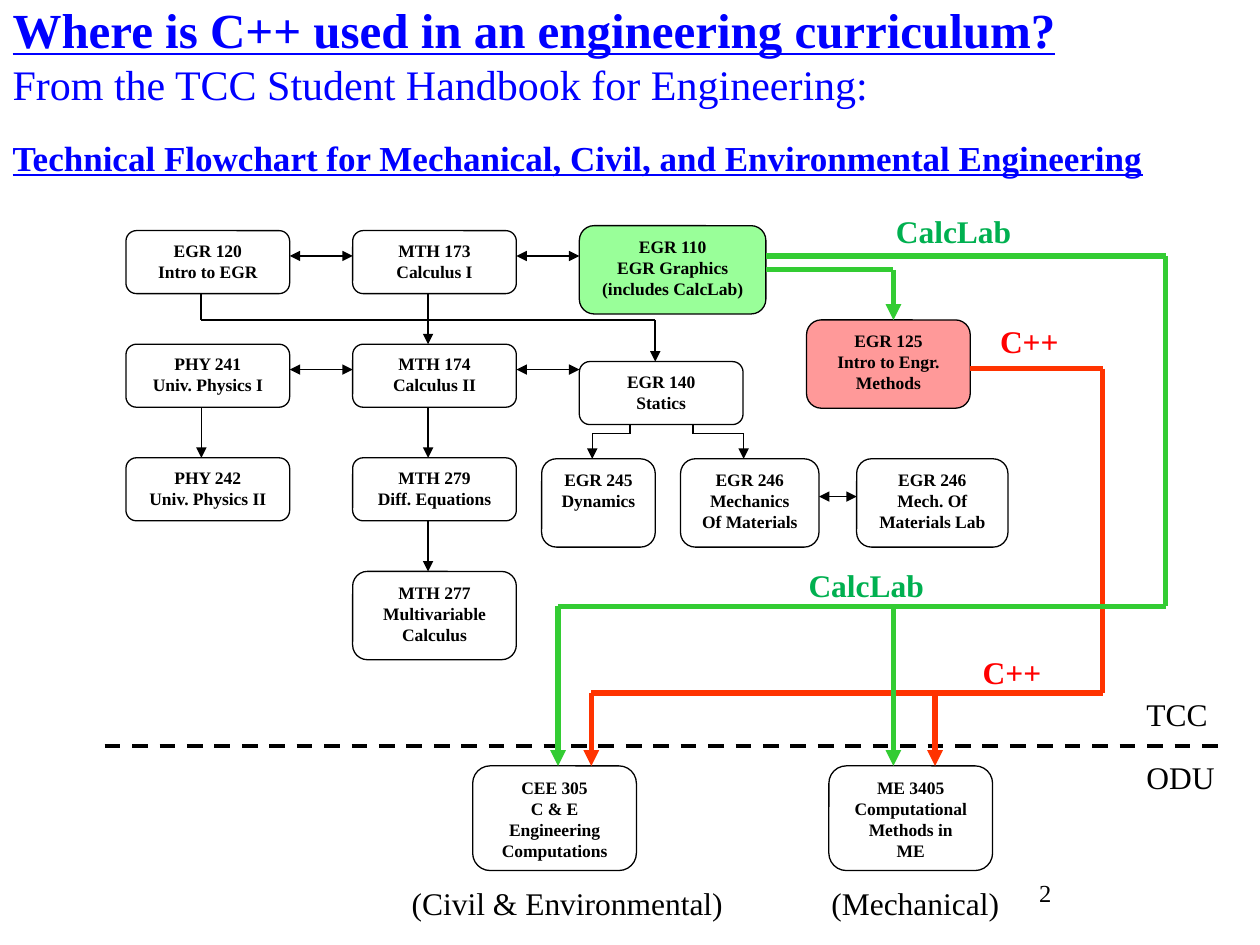
from pptx import Presentation
from pptx.dml.color import RGBColor
from pptx.enum.dml import MSO_LINE
from pptx.enum.shapes import MSO_CONNECTOR, MSO_SHAPE
from pptx.enum.text import MSO_ANCHOR, MSO_AUTO_SIZE, PP_ALIGN
from pptx.oxml.ns import qn
from pptx.util import Cm, Pt
from lxml.etree import SubElement

FONT = "Times New Roman"
BLACK = RGBColor(0x00, 0x00, 0x00)
WHITE = RGBColor(0xFF, 0xFF, 0xFF)
BLUE = RGBColor(0x00, 0x00, 0xFF)
GREEN = RGBColor(0x33, 0xCC, 0x33)
LEAF = RGBColor(0x00, 0xB0, 0x50)
MINT = RGBColor(0x99, 0xFF, 0x99)
ORANGE = RGBColor(0xFF, 0x33, 0x00)
RED = RGBColor(0xFF, 0x00, 0x00)
PINK = RGBColor(0xFF, 0x99, 0x99)

LEFT, TOP = 2.54, 4.65
COL, ROW = 4.57, 2.29
WIDE, LOW, TALL = 3.3, 1.27, 1.78


def style(para, size, color=BLACK, bold=False, under=False, align=PP_ALIGN.LEFT):
    para.alignment = align
    font = para.font
    font.name = FONT
    font.size = Pt(size)
    font.bold = bold
    font.underline = under
    font.color.rgb = color


def fill_text(frame, lines, *args, **kwargs):
    frame.word_wrap = True
    frame.auto_size = MSO_AUTO_SIZE.NONE
    frame.vertical_anchor = MSO_ANCHOR.TOP
    frame.text = "\n".join(lines)
    for para in frame.paragraphs:
        style(para, *args, **kwargs)


def place(shape, x, y, w, h):
    shape.left, shape.top = Cm(x), Cm(y)
    shape.width, shape.height = Cm(w), Cm(h)


def add_box(slide, x, y, w, h, lines, fill=WHITE):
    box = slide.shapes.add_shape(
        MSO_SHAPE.ROUNDED_RECTANGLE, Cm(x), Cm(y), Cm(w), Cm(h))
    box.shadow.inherit = False
    box.fill.solid()
    box.fill.fore_color.rgb = fill
    box.line.color.rgb = BLACK
    box.line.width = Pt(0.75)
    fill_text(box.text_frame, lines, 10, bold=True, align=PP_ALIGN.CENTER)
    return box


def add_label(slide, x, y, w, text, color=BLACK, bold=False):
    label = slide.shapes.add_textbox(Cm(x), Cm(y), Cm(w), Cm(0.84))
    fill_text(label.text_frame, [text], 18, color, bold)
    label.text_frame.paragraphs[0].line_spacing = 0.9


def add_line(slide, start, end, color=BLACK, width=0.75, ends=(), dash=None):
    line = slide.shapes.add_connector(
        MSO_CONNECTOR.STRAIGHT, Cm(start[0]), Cm(start[1]), Cm(end[0]), Cm(end[1]))
    line.line.color.rgb = color
    line.line.width = Pt(width)
    if dash:
        line.line.dash_style = dash
    props = line._element.spPr
    for tip in ends:
        SubElement(props.find(qn("a:ln")), qn(f"a:{tip}"), type="triangle")
    SubElement(props, qn("a:effectLst"))
    return line


def add_route(slide, points, color=BLACK, width=0.75):
    last = len(points) - 2
    return [
        add_line(slide, start, end, color, width, ("tailEnd",) if i == last else ())
        for i, (start, end) in enumerate(zip(points, points[1:]))
    ]


def add_heads(slide):
    title, body = slide.placeholders
    place(title, 0, 0, 22.86, 0.97)
    fill_text(title.text_frame, ["Where is C++ used in an engineering curriculum?"],
              28, BLUE, True, True)
    place(body, 0, 1.17, 25.4, 3.07)
    fill_text(body.text_frame, [
        "From the TCC Student Handbook for Engineering:",
        "Technical Flowchart for Mechanical, Civil, and Environmental Engineering",
    ], 24, BLUE)
    first, second = body.text_frame.paragraphs
    style(second, 20, BLUE, True, True)
    for para, gap in ((title.text_frame.paragraphs[0], 0), (first, 0), (second, 18)):
        para.line_spacing = 0.9
        para.space_before = Pt(gap)
    for para in (first, second):
        props = para._p.get_or_add_pPr()
        props.set("marL", "0")
        props.set("indent", "0")
        SubElement(props, qn("a:buNone"))
        props.append(props.find(qn("a:defRPr")))


def add_grid(slide):
    tracks = [
        [("EGR 120", "Intro to EGR"), ("PHY 241", "Univ. Physics I"),
         ("PHY 242", "Univ. Physics II")],
        [("MTH 173", "Calculus I"), ("MTH 174", "Calculus II"),
         ("MTH 279", "Diff. Equations"), ("MTH 277", "Multivariable Calculus")],
    ]
    for col, track in enumerate(tracks):
        x = LEFT + col * COL
        for row, lines in enumerate(track):
            y = TOP + row * ROW
            add_box(slide, x, y, WIDE, TALL if row == 3 else LOW, lines)
            if row and (col, row) != (0, 1):
                add_route(slide, [(x + 1.52, y - ROW + LOW), (x + 1.52, y)])


def add_rest(slide):
    for x, y, w, h, lines, fill in (
        (16.26, 6.45, WIDE, TALL, ("EGR 125", "Intro to Engr. Methods"), PINK),
        (11.68, 7.29, WIDE, LOW, ("EGR 140", "Statics"), WHITE),
        (10.92, 9.25, 2.29, TALL, ("EGR 245", "Dynamics"), WHITE),
        (13.72, 9.25, 2.79, TALL, ("EGR 246", "Mechanics", "Of Materials"), WHITE),
        (17.27, 9.25, 3.05, TALL, ("EGR 246", "Mech. Of Materials Lab"), WHITE),
        (9.53, 15.44, WIDE, 2.11,
         ("CEE 305", "C & E", "Engineering Computations"), WHITE),
        (16.71, 15.44, WIDE, 2.11,
         ("ME 3405", "Computational Methods in", "ME"), WHITE),
    ):
        add_box(slide, x, y, w, h, lines, fill)
    return add_box(slide, 11.68, 4.55, 3.76, TALL,
                   ("EGR 110", "EGR Graphics", "(includes CalcLab)"), MINT)


def add_links(slide, source):
    pairs = [(LEFT + WIDE + col * COL, LEFT + (col + 1) * COL, TOP + 0.51 + row * ROW)
             for col in range(2) for row in range(2)]
    for x, end, y in pairs + [(16.51, 17.27, 10.01)]:
        add_line(slide, (x, y), (end, y), ends=("headEnd", "tailEnd"))
    for x, end in ((12.7, 11.94), (13.97, 14.99)):
        add_route(slide, [(x, 8.56), (x, 8.74), (end, 8.74), (end, 9.25)])
    add_route(slide, [(4.06, 5.92), (4.06, 6.45), (13.21, 6.45), (13.21, 7.29)], width=1)
    add_line(slide, (2.11, 15.04), (24.56, 15.04), width=2.25, dash=MSO_LINE.DASH)
    for points, color in (
        ([(19.56, 7.43), (22.23, 7.43), (22.23, 13.97), (11.92, 13.97),
          (11.92, 15.44)], ORANGE),
        ([(18.85, 13.97), (18.85, 15.44)], ORANGE),
        ([(15.44, 5.16), (23.5, 5.16), (23.5, 12.22), (11.25, 12.22),
          (11.25, 15.44)], GREEN),
        ([(18.01, 12.22), (18.01, 15.44)], GREEN),
    ):
        add_route(slide, points, color, 3)
    short = add_route(slide, [(15.44, 5.44), (18.01, 5.44), (18.01, 6.45)], GREEN, 3)
    short[0].begin_connect(source, 3)


def add_labels(slide):
    for x, y, w, text in (
        (22.86, 13.97, 2.11, "TCC"),
        (22.86, 15.24, 2.11, "ODU"),
        (8.05, 17.78, 6.99, "(Civil & Environmental)"),
        (16.51, 17.78, 4.45, "(Mechanical)"),
    ):
        add_label(slide, x, y, w, text)
    for x, y in ((17.81, 4.24), (16.05, 11.38)):
        add_label(slide, x, y, 3.51, "CalcLab", LEAF, True)
    for x, y in ((19.91, 6.45), (19.56, 13.13)):
        add_label(slide, x, y, 2.11, "C++", RED, True)
    page = slide.shapes.add_textbox(Cm(18.21), Cm(17.58), Cm(5.72), Cm(1.07))
    fill_text(page.text_frame, ["2"], 14, align=PP_ALIGN.CENTER)


def main():
    deck = Presentation()
    deck.slide_width, deck.slide_height = Cm(25.4), Cm(19.05)
    slide = deck.slides.add_slide(deck.slide_layouts[1])
    add_heads(slide)
    add_grid(slide)
    source = add_rest(slide)
    add_links(slide, source)
    add_labels(slide)
    deck.save("out.pptx")


if __name__ == "__main__":
    main()
